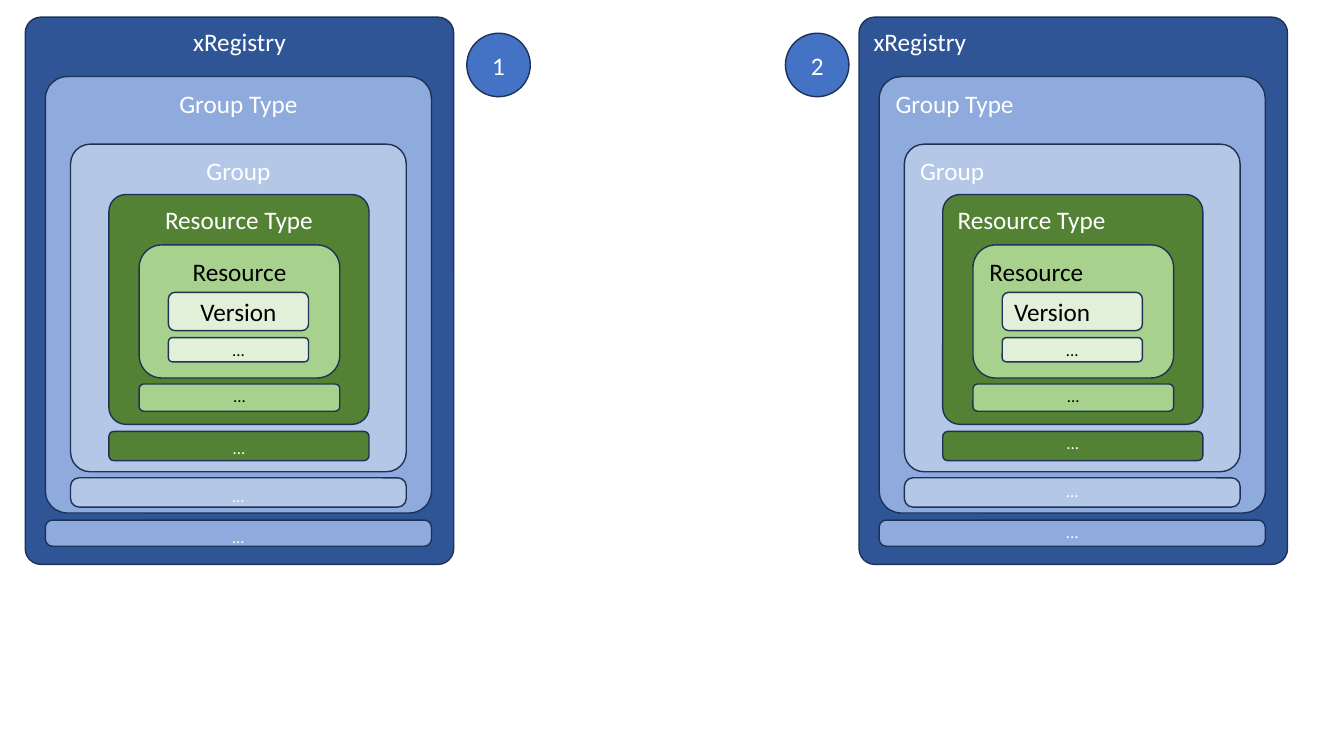
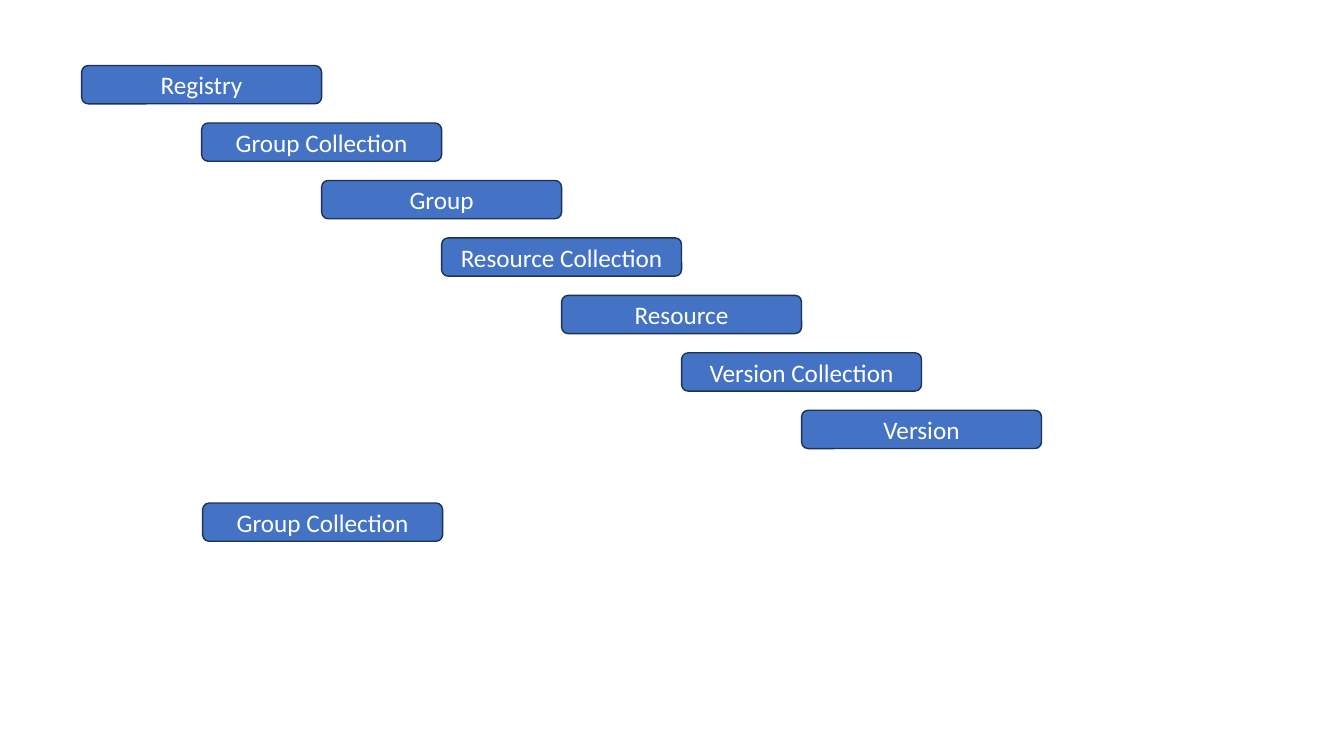
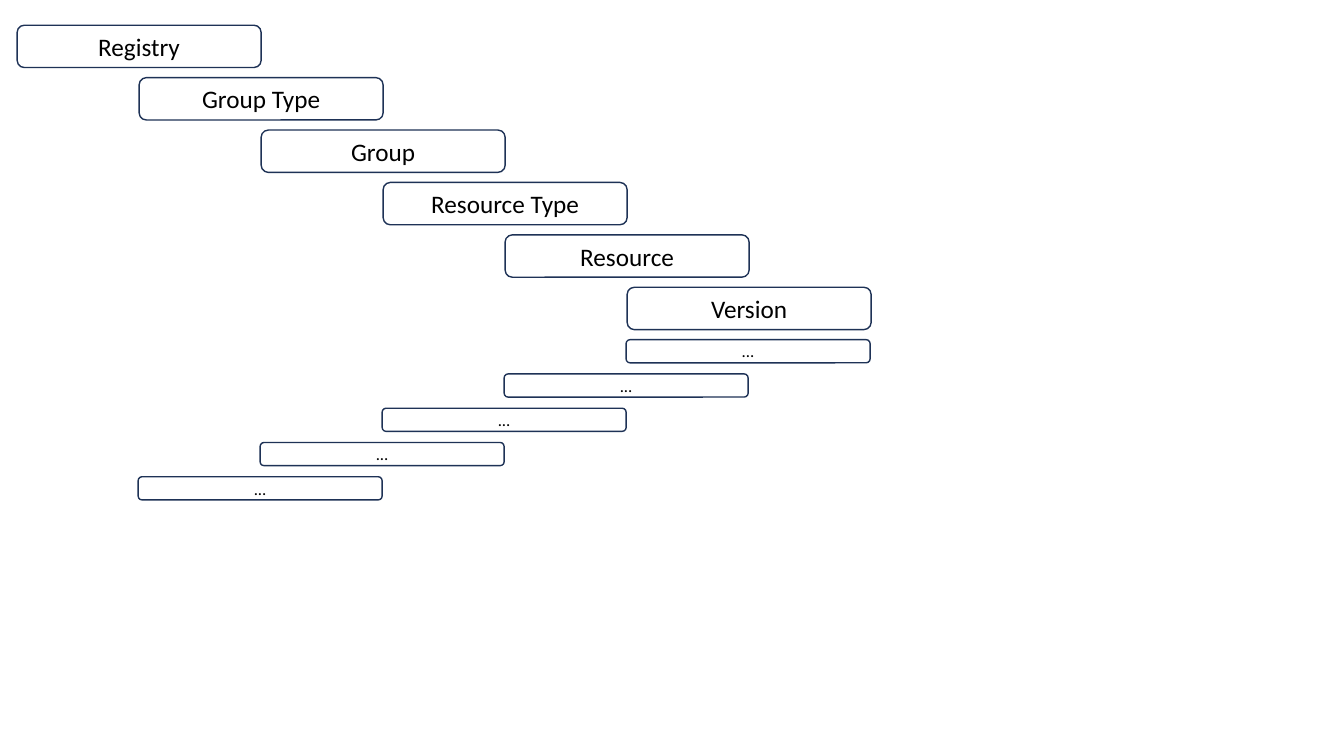
from dataclasses import dataclass

import pptx
import pptx.dml.color
import pptx.enum.shapes
import pptx.enum.text
import pptx.util

Inches = pptx.util.Inches
Shape = pptx.enum.shapes.MSO_SHAPE
Anchor = pptx.enum.text.MSO_ANCHOR
Align = pptx.enum.text.PP_ALIGN

FONT = "Calibri"
OUTLINE = "1E3256"
BLUE = "4472C4"
WHITE = "FFFFFF"
BLACK = "000000"
CORNER = 0.17
TEXT_INSET = 0.05
MORE = "..."


@dataclass(frozen=True)
class Area:
    left: float
    top: float
    width: float
    height: float


@dataclass(frozen=True)
class Layer:
    """One nested box, and the thin bar below it that stands for its siblings."""
    name: str
    area: Area
    fill: str
    ink: str = WHITE
    corner: float = CORNER
    anchor: Anchor = Anchor.TOP
    bar_top: float = 0
    bar_height: float = 0
    bar_corner: float = CORNER


LAYERS = [
    Layer("xRegistry", Area(0.25, 0.17, 4.25, 5.43), "2F5597", corner=0.037),
    Layer("Group Type", Area(0.45, 0.76, 3.83, 4.33), "8FAADC", corner=0.057,
          bar_top=5.16, bar_height=0.26, bar_corner=0.27),
    Layer("Group", Area(0.7, 1.43, 3.33, 3.25), "B4C7E7", corner=0.06,
          bar_top=4.74, bar_height=0.29, bar_corner=0.29),
    Layer("Resource Type", Area(1.08, 1.93, 2.58, 2.28), "548235", corner=0.074,
          bar_top=4.28, bar_height=0.29),
    Layer("Resource", Area(1.38, 2.43, 1.99, 1.32), "A9D18E", BLACK,
          bar_top=3.81, bar_height=0.27),
    Layer("Version", Area(1.67, 2.9, 1.39, 0.38), "E2F0D9", BLACK,
          anchor=Anchor.MIDDLE, bar_top=3.35, bar_height=0.24),
]


def colour(value: str) -> pptx.dml.color.RGBColor:
    return pptx.dml.color.RGBColor.from_string(value)


def write(box, text: str, *, size: float = 18, ink: str = WHITE,
          align: Align = Align.CENTER, anchor: Anchor = Anchor.MIDDLE,
          inset: float = TEXT_INSET) -> None:
    frame = box.text_frame
    frame.word_wrap = True
    frame.vertical_anchor = anchor
    frame.margin_top = frame.margin_bottom = Inches(inset)
    para = frame.paragraphs[0]
    para.alignment = align
    span = para.add_run()
    span.text = text
    span.font.name = FONT
    span.font.size = pptx.util.Pt(size)
    span.font.color.rgb = colour(ink)


def draw_box(page, area: Area, text: str, *, fill: str | None = BLUE,
             corner: float = CORNER, kind: Shape = Shape.ROUNDED_RECTANGLE,
             **text_format) -> None:
    box = page.shapes.add_shape(kind, Inches(area.left), Inches(area.top),
                                Inches(area.width), Inches(area.height))
    box.shadow.inherit = False
    if kind == Shape.ROUNDED_RECTANGLE:
        box.adjustments[0] = corner
    if fill is None:
        box.fill.background()
    else:
        box.fill.solid()
        box.fill.fore_color.rgb = colour(fill)
    box.line.color.rgb = colour(OUTLINE)
    box.line.width = pptx.util.Pt(1)
    write(box, text, **text_format)


def draw_nest(page, offset: float, align: Align, outer_inset: float) -> None:
    """Draw all layers; outer_inset is the text inset of the three outer bars."""
    for layer in LAYERS:
        area = layer.area
        draw_box(page, Area(area.left + offset, area.top, area.width, area.height),
                 layer.name, fill=layer.fill, corner=layer.corner, ink=layer.ink,
                 align=align, anchor=layer.anchor)
    for layer in reversed(LAYERS[1:]):
        area = layer.area
        draw_box(page, Area(area.left + offset, layer.bar_top, area.width, layer.bar_height),
                 MORE, fill=layer.fill, corner=layer.bar_corner, ink=layer.ink, size=12,
                 anchor=layer.anchor, inset=outer_inset if layer.ink == WHITE else 0)


def draw_stairs(page, names: list[str], first: Area, step_x: float, step_y: float,
                **box_format) -> None:
    for index, name in enumerate(names):
        draw_box(page, Area(first.left + index * step_x, first.top + index * step_y,
                            first.width, first.height), name, **box_format)


def add_nested_page(deck) -> None:
    page = deck.slides.add_slide(deck.slide_layouts[6])
    draw_nest(page, 0, Align.CENTER, TEXT_INSET)
    draw_nest(page, 8.27, Align.LEFT, 0)
    for number, left in (("1", 4.63), ("2", 7.79)):
        draw_box(page, Area(left, 0.33, 0.63, 0.63), number, kind=Shape.OVAL)


def add_collection_page(deck) -> None:
    page = deck.slides.add_slide(deck.slide_layouts[6])
    names = ["Registry", "Group Collection", "Group", "Resource Collection",
             "Resource", "Version Collection", "Version"]
    draw_stairs(page, names, Area(0.81, 0.65, 2.38, 0.38), 1.19, 0.57)
    draw_box(page, Area(2.01, 4.99, 2.38, 0.38), "Group Collection")


def add_outline_page(deck) -> None:
    page = deck.slides.add_slide(deck.slide_layouts[6])
    names = ["Registry"] + [layer.name for layer in LAYERS[1:]]
    draw_stairs(page, names, Area(0.17, 0.25, 2.42, 0.42), 1.21, 0.52,
                fill=None, ink=BLACK)
    draw_stairs(page, [MORE] * (len(names) - 1), Area(6.21, 3.37, 2.42, 0.23), -1.21, 0.34,
                fill=None, ink=BLACK, size=12)


def main() -> None:
    deck = pptx.Presentation()
    deck.slide_width = Inches(13.33)
    deck.slide_height = Inches(7.5)
    add_nested_page(deck)
    add_collection_page(deck)
    add_outline_page(deck)
    deck.save("out.pptx")


if __name__ == "__main__":
    main()
